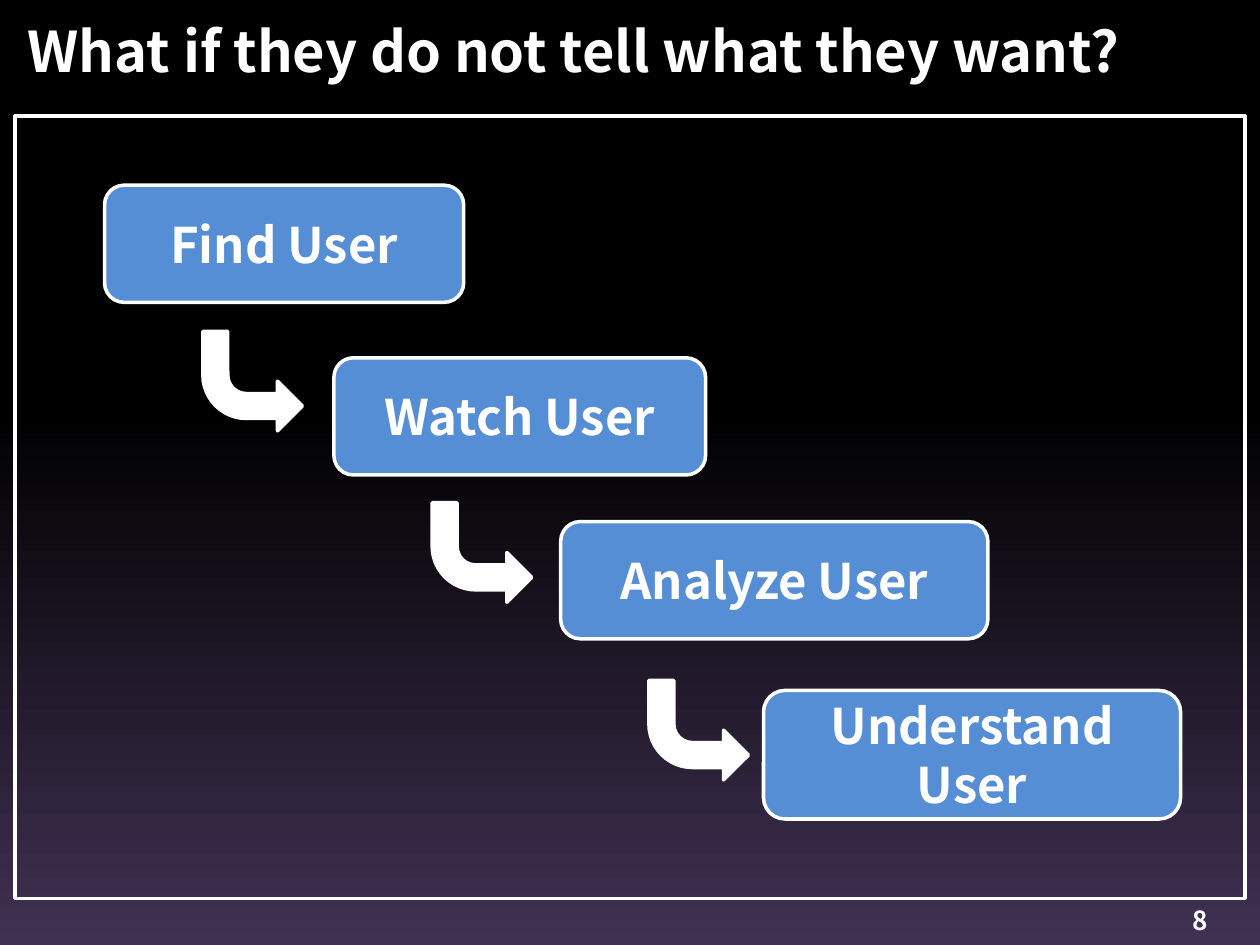
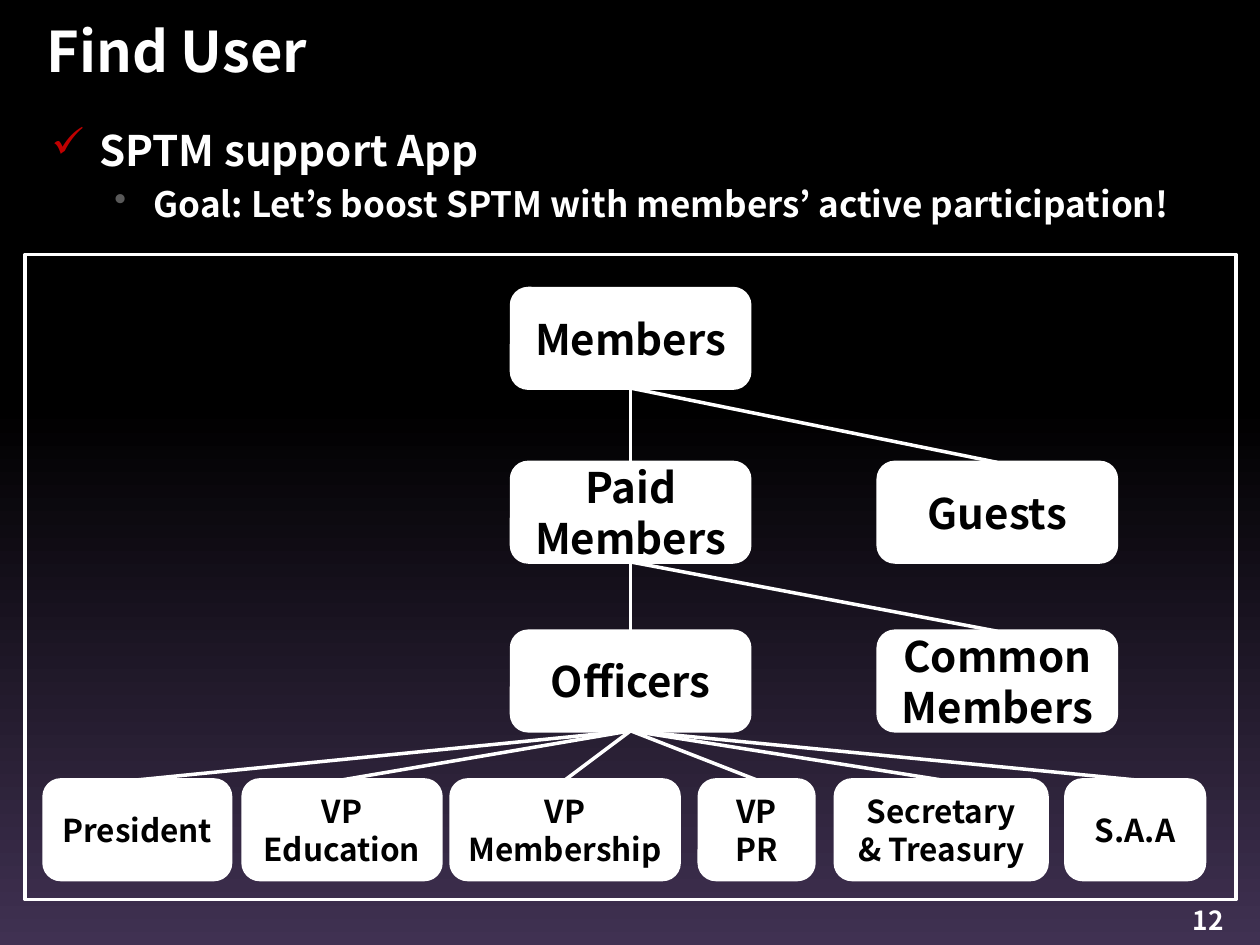
from lxml import etree
from pptx import Presentation
from pptx import util as u
from pptx.dml.color import RGBColor
from pptx.enum import shapes, text
from pptx.oxml import ns

FONT = "Noto Sans CJK KR"
WHITE, BLACK, BLUE = "FFFFFF", "000000", "558ED5"
PLUM, RED, GREY = "403152", "C00000", "595959"
hue = RGBColor.from_string
kinds = shapes.MSO_SHAPE


def put(slide, at, words="", kind=None, fill=None, size=24, color=WHITE,
        align=text.PP_ALIGN.LEFT, anchor=text.MSO_ANCHOR.TOP):
    """Add a text box, or a white-edged shape if a kind is given."""
    spot = [u.Inches(n) for n in at]
    if kind is None:
        shape = slide.shapes.add_textbox(*spot)
    else:
        shape = slide.shapes.add_shape(kind, *spot)
        shape.shadow.inherit = False
        shape.line.color.rgb = hue(WHITE)
        shape.line.width = u.Pt(2)
        if fill:
            shape.fill.solid()
            shape.fill.fore_color.rgb = hue(fill)
        else:
            shape.fill.background()
    frame = shape.text_frame
    frame.word_wrap = True
    frame.vertical_anchor = anchor
    if words:
        frame.text = words
    for para in frame.paragraphs:
        para.alignment = align
        for run in para.runs:
            run.font.name = FONT
            run.font.size = u.Pt(size)
            run.font.bold = True
            run.font.color.rgb = hue(color)
    return shape


def join(slide, top, low):
    """Draw a line from the bottom of one box to the top of another."""
    line = slide.shapes.add_connector(shapes.MSO_CONNECTOR.STRAIGHT, 0, 0, 0, 0)
    line.begin_connect(top, 2)
    line.end_connect(low, 0)
    line.line.color.rgb = hue(WHITE)
    line.line.width = u.Pt(2)
    etree.SubElement(line._element.spPr, ns.qn("a:effectLst"))


MID = dict(align=text.PP_ALIGN.CENTER, anchor=text.MSO_ANCHOR.MIDDLE)
deck = Presentation()
deck.slide_width, deck.slide_height = u.Inches(10), u.Inches(7.5)

# Background, title, page number and frame of each slide
pages = [
    ("What if they do not tell what they want?", (0.12, 0.08, 9.88, 0.63),
     "8", (0.12, 0.92, 9.76, 6.21)),
    ("Find User", (0.27, 0.08, 8.8, 0.63), "12", (0.2, 2.02, 9.61, 5.12)),
]
slides = []
for title, spot, page, frame in pages:
    slide = deck.slides.add_slide(deck.slide_layouts[6])
    back = slide.background.fill
    back.gradient()
    back.gradient_angle = 90
    for stop, color, place in zip(back.gradient_stops, (PLUM, BLACK), (0, 0.57)):
        stop.color.rgb = hue(color)
        stop.position = place
    put(slide, spot, title, size=32, anchor=text.MSO_ANCHOR.MIDDLE)
    put(slide, (9.37, 7.13, 0.67, 0.4), page, size=15)
    put(slide, frame, kind=kinds.RECTANGLE)
    slides.append(slide)
steps, tree = slides

# Stairs of steps, with a bent arrow into each one after the first
for words, box, bend in [
    ("Find User", (0.83, 1.47, 2.85, 0.93), None),
    ("Watch User", (2.65, 2.84, 2.95, 0.93), (1.61, 2.63)),
    ("Analyze User", (4.45, 4.14, 3.39, 0.93), (3.43, 3.99)),
    ("Understand User", (6.06, 5.48, 3.31, 1.02), (5.15, 5.4)),
]:
    put(steps, box, words, kinds.ROUNDED_RECTANGLE, BLUE, 28, **MID)
    if bend:
        arrow = put(steps, (*bend, 0.79, 0.79), kind=kinds.BENT_ARROW, fill=WHITE)
        arrow._element.spPr.xfrm.set("flipV", "1")

# Bulleted goal
goal = put(tree, (0.31, 0.94, 9.57, 4.95), "SPTM support App\n"
           "Goal: Let’s boost SPTM with members’ active participation!")
bullets = [("✓", RED, 24, 0.38, 0.38), ("•", GREY, 20, 0.81, 0.31)]
for level, (mark, color, size, left, hang) in enumerate(bullets):
    para = goal.text_frame.paragraphs[level]
    para.level = level
    para.space_before = u.Pt(size * 0.2)
    para.runs[0].font.size = u.Pt(size)
    props = para._p.get_or_add_pPr()
    props.set("marL", str(u.Inches(left)))
    props.set("indent", str(-u.Inches(hang)))
    tint = etree.SubElement(props, ns.qn("a:buClr"))
    etree.SubElement(tint, ns.qn("a:srgbClr"), val=color)
    etree.SubElement(props, ns.qn("a:buChar"), char=mark)

# Tree of members: upper boxes, then the row of officers
LEFT, RIGHT, HIGH = 4.06, 6.97, 0.79
rows = [
    ("Members", LEFT, 2.29, 1.89, 24, None),
    ("Paid Members", LEFT, 3.67, 1.89, 24, "Members"),
    ("Guests", RIGHT, 3.67, 1.89, 24, "Members"),
    ("Officers", LEFT, 5.01, 1.89, 24, "Paid Members"),
    ("Common Members", RIGHT, 5.01, 1.89, 24, "Paid Members"),
]
for words, left, wide in [
    ("President", 0.35, 1.48), ("VP\nEducation", 1.93, 1.57),
    ("VP\nMembership", 3.58, 1.81), ("VP PR", 5.55, 0.91),
    ("Secretary & Treasury", 6.63, 1.68), ("S.A.A", 8.46, 1.1),
]:
    rows.append((words, left, 6.19, wide, 18, "Officers"))

boxes = {}
for words, left, top, wide, size, head in rows:
    boxes[words] = put(tree, (left, top, wide, HIGH), words,
                       kinds.ROUNDED_RECTANGLE, WHITE, size, BLACK, **MID)
    if head:
        join(tree, boxes[head], boxes[words])

deck.save("out.pptx")
